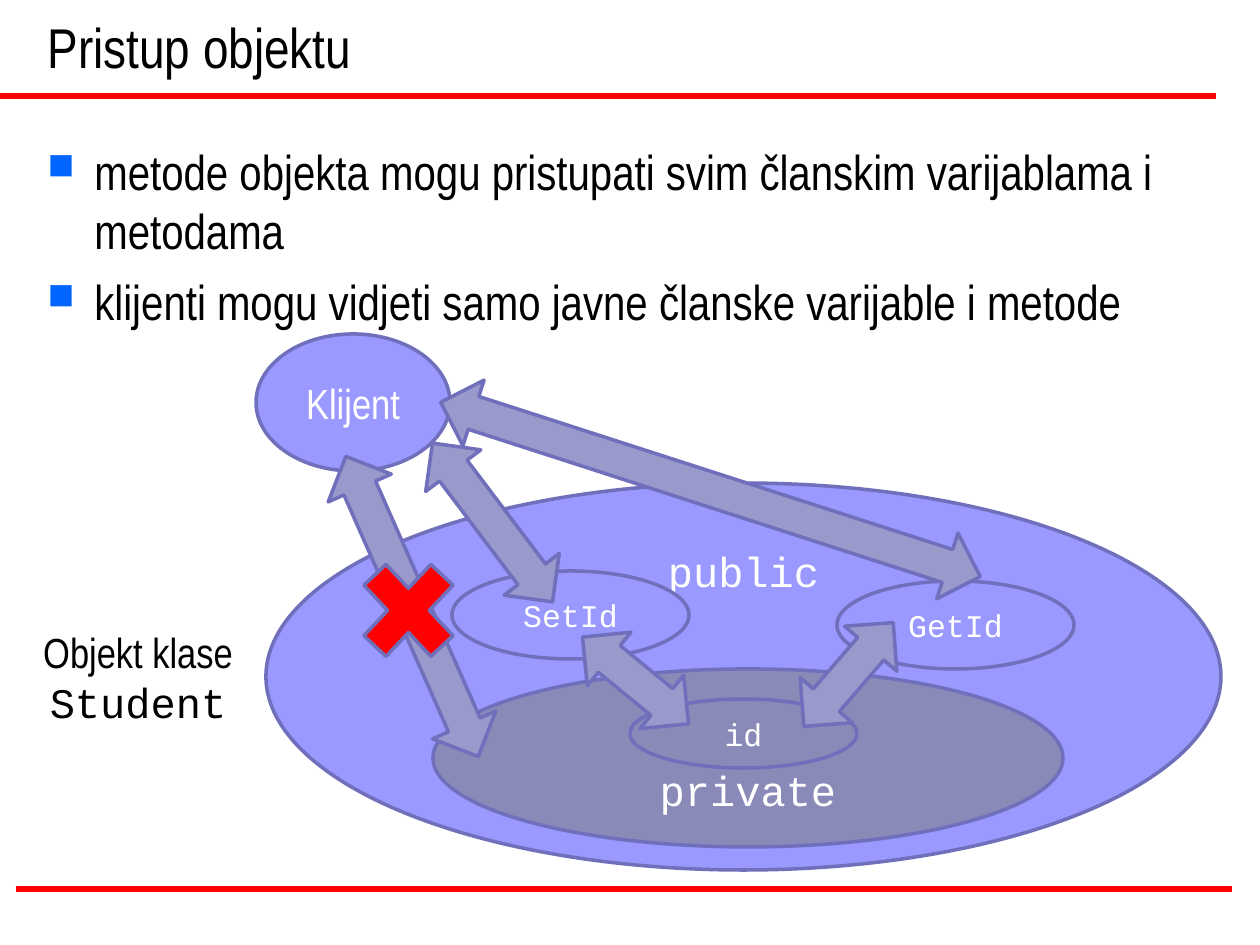
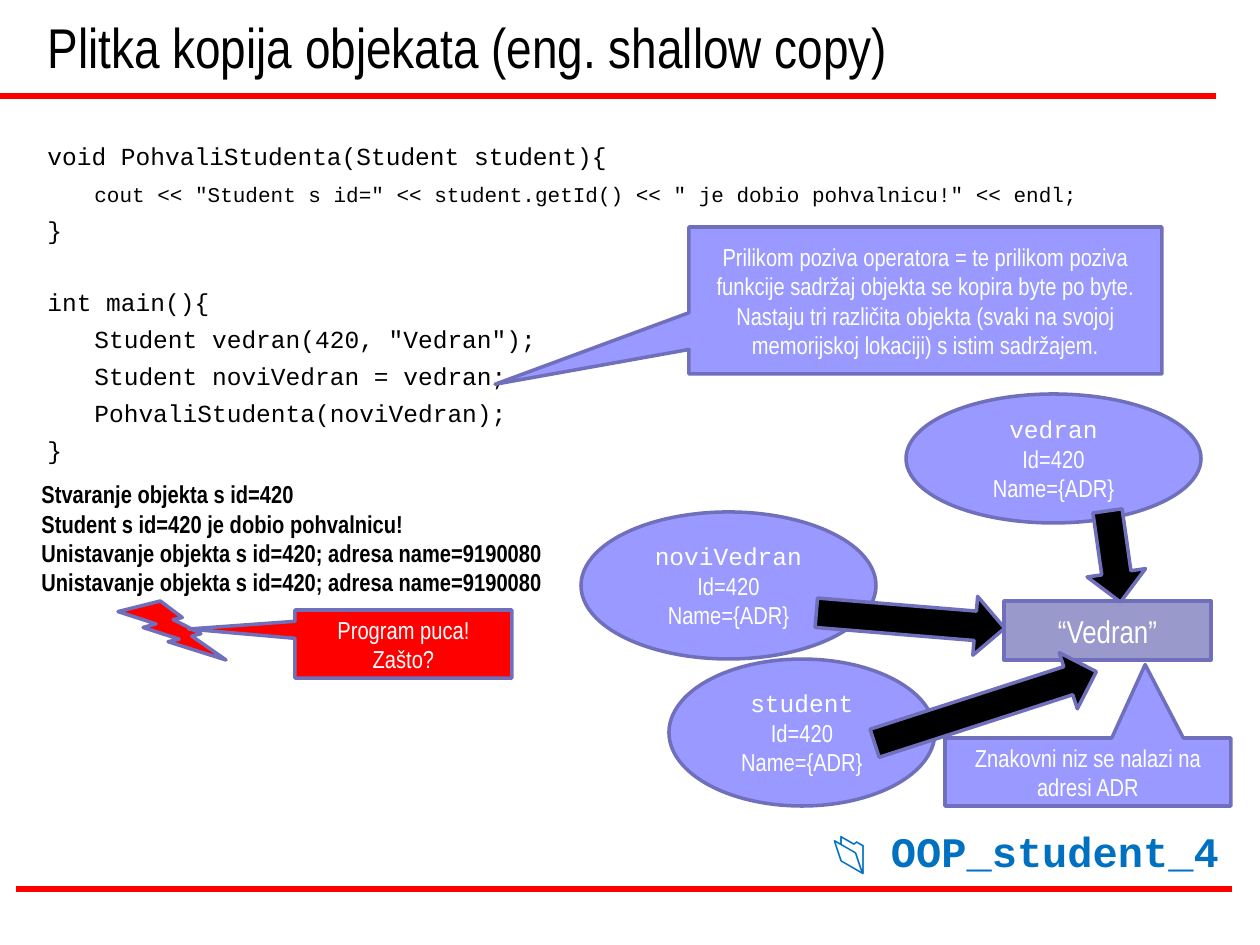
from lxml.etree import SubElement
from pptx import Presentation
from pptx.dml.color import RGBColor
from pptx.enum.shapes import MSO_CONNECTOR, MSO_SHAPE
from pptx.enum.text import MSO_ANCHOR, PP_ALIGN
from pptx.oxml.ns import qn
from pptx.util import Pt

PX = 914400 / 126
BLACK = RGBColor(0x00, 0x00, 0x00)
WHITE = RGBColor(0xFF, 0xFF, 0xFF)
RED = RGBColor(0xFF, 0x00, 0x00)
PERIWINKLE = RGBColor(0x99, 0x99, 0xFF)
SLATE = RGBColor(0x8A, 0x8A, 0xB9)
LAVENDER = RGBColor(0x99, 0x99, 0xCC)
OUTLINE = RGBColor(0x6F, 0x6F, 0xBC)
FILE_BLUE = RGBColor(0x00, 0x70, 0xC0)
BULLET_BLUE = "0066FF"
NARROW, CODE = "Arial Narrow", "Courier New"
TOP, MIDDLE, BOTTOM = MSO_ANCHOR.TOP, MSO_ANCHOR.MIDDLE, MSO_ANCHOR.BOTTOM

TITLE_BOX = (35, 0, 1113, 86)
BODY_BOX = (35, 135, 1191, 735)
RULES = [(0, 1216, 96), (16, 1232, 889)]
INDENT = 47

ACCESS_TITLE = "Pristup objektu"
ACCESS_POINTS = [
    "metode objekta mogu pristupati svim članskim varijablama i metodama",
    "klijenti mogu vidjeti samo javne članske varijable i metode",
]
OBJECT_PARTS = [
    ("public", 24, (266, 483, 955, 387), PERIWINKLE, TOP),
    ("private", 24, (433, 669, 630, 178), SLATE, BOTTOM),
    ("SetId", 18, (452, 571, 237, 88), PERIWINKLE, MIDDLE),
    ("GetId", 18, (837, 581, 237, 88), PERIWINKLE, MIDDLE),
    ("id", 18, (630, 699, 227, 69), SLATE, MIDDLE),
]
MEMBER_ARROWS = [((567, 646, 137, 69), 39.3), ((780, 640, 137, 69), 130.8)]
CLIENT_BOX = (256, 334, 194, 137)
CLIENT_ARROWS = [((427, 455, 567, 69), 17.9), ((248, 572, 328, 69), 66.2)]
FORBIDDEN_CROSS = (344, 542, 129, 137)
SETTER_ARROW = ((393, 488, 199, 69), 52.9)
OBJECT_LABEL_BOX = (0, 620, 276, 113)
OBJECT_LABEL = [("Objekt klase", 24, NARROW), ("Student", 24, CODE)]

COPY_TITLE = "Plitka kopija objekata (eng. shallow copy)"
CODE_LINES = [
    (0, 14, 0, "void PohvaliStudenta(Student student){"),
    (1, 12, 6, 'cout << "Student s id=" << student.getId() << " je dobio pohvalnicu!" << endl;'),
    (0, 14, 5, "}"),
    (0, 14, 24.5, "int main(){"),
    (1, 14, 4.3, 'Student vedran(420, "Vedran");'),
    (1, 14, 4.3, "Student noviVedran = vedran;"),
    (1, 14, 4.3, "PohvaliStudenta(noviVedran);"),
    (0, 14, 4.3, "}"),
]
STUDENTS = [
    ("vedran", (906, 394, 295, 129)),
    ("noviVedran", (581, 512, 295, 147)),
    ("student", (669, 659, 266, 147)),
]
STUDENT_FIELDS = ["Id=420", "Name={ADR}"]
NAME_BOX = (1004, 601, 207, 59)
NAME_TEXT = "“Vedran”"
POINTERS = [
    ((1068, 527, 92, 59), 81.9),
    ((816, 591, 189, 59), 4.7),
    ((869, 678, 233, 59), 342.1),
]
CALLOUTS = [
    ("Prilikom poziva operatora = te prilikom poziva funkcije sadržaj objekta "
     "se kopira byte po byte. Nastaju tri različita objekta (svaki na svojoj "
     "memorijskoj lokaciji) s istim sadržajem.",
     (689, 227, 473, 147), (-0.91, 0.57), PERIWINKLE),
    ("Znakovni niz se nalazi na adresi ADR",
     (945, 738, 286, 68), (0.2, -1.58), PERIWINKLE),
    ("Program puca! Zašto?", (295, 610, 217, 68), (-0.99, -0.22), RED),
]
OUTPUT_BOX = (29, 473, 659, 131)
OUTPUT_LINES = [
    "Stvaranje objekta s id=420",
    "Student s id=420 je dobio pohvalnicu!",
    "Unistavanje objekta s id=420; adresa name=9190080",
    "Unistavanje objekta s id=420; adresa name=9190080",
]
CRASH_BOLT = (118, 601, 108, 59)
FILE_BOX = (136, 829, 1095, 53)
FILE_RUNS = [("📂", "Arial"), (" OOP_student_4", CODE)]


def emu(*lengths):
    return [round(length * PX) for length in lengths]


def style_font(font, size, name, color, bold=False):
    font.size = Pt(size)
    font.name = name
    font.color.rgb = color
    font.bold = bold


def write_lines(shape, lines, color=WHITE, align=PP_ALIGN.CENTER, anchor=MIDDLE, bold=False):
    frame = shape.text_frame
    frame.word_wrap = True
    frame.vertical_anchor = anchor
    for index, (text, size, font_name) in enumerate(lines):
        paragraph = frame.add_paragraph() if index else frame.paragraphs[0]
        paragraph.text = text
        paragraph.alignment = align
        style_font(paragraph.font, size, font_name, color, bold)
    return frame.paragraphs


def add_text(slide, box, lines, align=PP_ALIGN.LEFT, anchor=TOP, bold=False):
    text_box = slide.shapes.add_textbox(*emu(*box))
    return write_lines(text_box, lines, BLACK, align, anchor, bold)


def add_figure(slide, kind, box, fill, rotation=0):
    shape = slide.shapes.add_shape(kind, *emu(*box))
    shape.shadow.inherit = False
    shape.fill.solid()
    shape.fill.fore_color.rgb = fill
    shape.line.color.rgb = OUTLINE
    shape.line.width = Pt(2)
    shape.rotation = rotation
    return shape


def add_arrows(slide, kind, arrows, fill):
    for box, rotation in arrows:
        add_figure(slide, kind, box, fill, rotation)


def set_indent(paragraph, left, first=0):
    properties = paragraph._p.get_or_add_pPr()
    margin, hanging = emu(left, first)
    properties.set("marL", str(margin))
    properties.set("indent", str(hanging))
    return properties


def add_bullet(paragraph):
    properties = set_indent(paragraph, INDENT, -INDENT)
    color = SubElement(properties, qn("a:buClr"))
    SubElement(color, qn("a:srgbClr"), val=BULLET_BLUE)
    SubElement(properties, qn("a:buSzPct"), val="75000")
    SubElement(properties, qn("a:buChar"), char="■")


def start_slide(presentation, title):
    slide = presentation.slides.add_slide(presentation.slide_layouts[6])
    for left, right, y in RULES:
        rule = slide.shapes.add_connector(MSO_CONNECTOR.STRAIGHT, *emu(left, y, right, y))
        rule.line.color.rgb = RED
        rule.line.width = Pt(3)
        SubElement(rule._element.spPr, qn("a:effectLst"))
    add_text(slide, TITLE_BOX, [(title, 32, NARROW)], anchor=BOTTOM)
    return slide


def build_access_slide(presentation):
    slide = start_slide(presentation, ACCESS_TITLE)
    body = slide.shapes.add_textbox(*emu(*BODY_BOX)).text_frame
    body.word_wrap = True
    for index, point in enumerate(ACCESS_POINTS):
        paragraph = body.add_paragraph() if index else body.paragraphs[0]
        paragraph.text = point
        add_bullet(paragraph)
        paragraph.space_before = Pt(7 if index else 0)
        style_font(paragraph.font, 28, NARROW, BLACK)

    for name, size, box, fill, anchor in OBJECT_PARTS:
        part = add_figure(slide, MSO_SHAPE.OVAL, box, fill)
        write_lines(part, [(name, size, CODE)], anchor=anchor)
    two_way = MSO_SHAPE.LEFT_RIGHT_ARROW
    add_arrows(slide, two_way, MEMBER_ARROWS, LAVENDER)
    client = add_figure(slide, MSO_SHAPE.OVAL, CLIENT_BOX, PERIWINKLE)
    write_lines(client, [("Klijent", 24, NARROW)])
    add_arrows(slide, two_way, CLIENT_ARROWS, LAVENDER)
    add_figure(slide, MSO_SHAPE.MATH_MULTIPLY, FORBIDDEN_CROSS, RED)
    add_text(slide, OBJECT_LABEL_BOX, OBJECT_LABEL, PP_ALIGN.CENTER)
    add_arrows(slide, two_way, [SETTER_ARROW], LAVENDER)


def build_copy_slide(presentation):
    slide = start_slide(presentation, COPY_TITLE)
    code = add_text(slide, BODY_BOX, [(text, size, CODE) for _, size, _, text in CODE_LINES])
    for paragraph, (level, _, space, _) in zip(code, CODE_LINES):
        set_indent(paragraph, level * INDENT)
        paragraph.space_before = Pt(space)

    fields = [(field, 14, NARROW) for field in STUDENT_FIELDS]
    for name, box in STUDENTS:
        student = add_figure(slide, MSO_SHAPE.OVAL, box, PERIWINKLE)
        write_lines(student, [(name, 14, CODE)] + fields)
    name_box = add_figure(slide, MSO_SHAPE.RECTANGLE, NAME_BOX, LAVENDER)
    write_lines(name_box, [(NAME_TEXT, 18, NARROW)])
    add_arrows(slide, MSO_SHAPE.RIGHT_ARROW, POINTERS, BLACK)

    add_text(slide, OUTPUT_BOX, [(line, 14, NARROW) for line in OUTPUT_LINES], bold=True)
    add_figure(slide, MSO_SHAPE.LIGHTNING_BOLT, CRASH_BOLT, RED)
    for text, box, tip, fill in CALLOUTS:
        callout = add_figure(slide, MSO_SHAPE.RECTANGULAR_CALLOUT, box, fill)
        callout.adjustments[0], callout.adjustments[1] = tip
        write_lines(callout, [(text, 14, NARROW)])

    file_frame = slide.shapes.add_textbox(*emu(*FILE_BOX)).text_frame
    file_frame.word_wrap = True
    paragraph = file_frame.paragraphs[0]
    paragraph.alignment = PP_ALIGN.RIGHT
    paragraph.line_spacing = 0.8
    for text, font_name in FILE_RUNS:
        run = paragraph.add_run()
        run.text = text
        style_font(run.font, 24, font_name, FILE_BLUE, True)


def main():
    presentation = Presentation()
    presentation.slide_width, presentation.slide_height = emu(1260, 945)
    build_access_slide(presentation)
    build_copy_slide(presentation)
    presentation.save("out.pptx")


if __name__ == "__main__":
    main()
